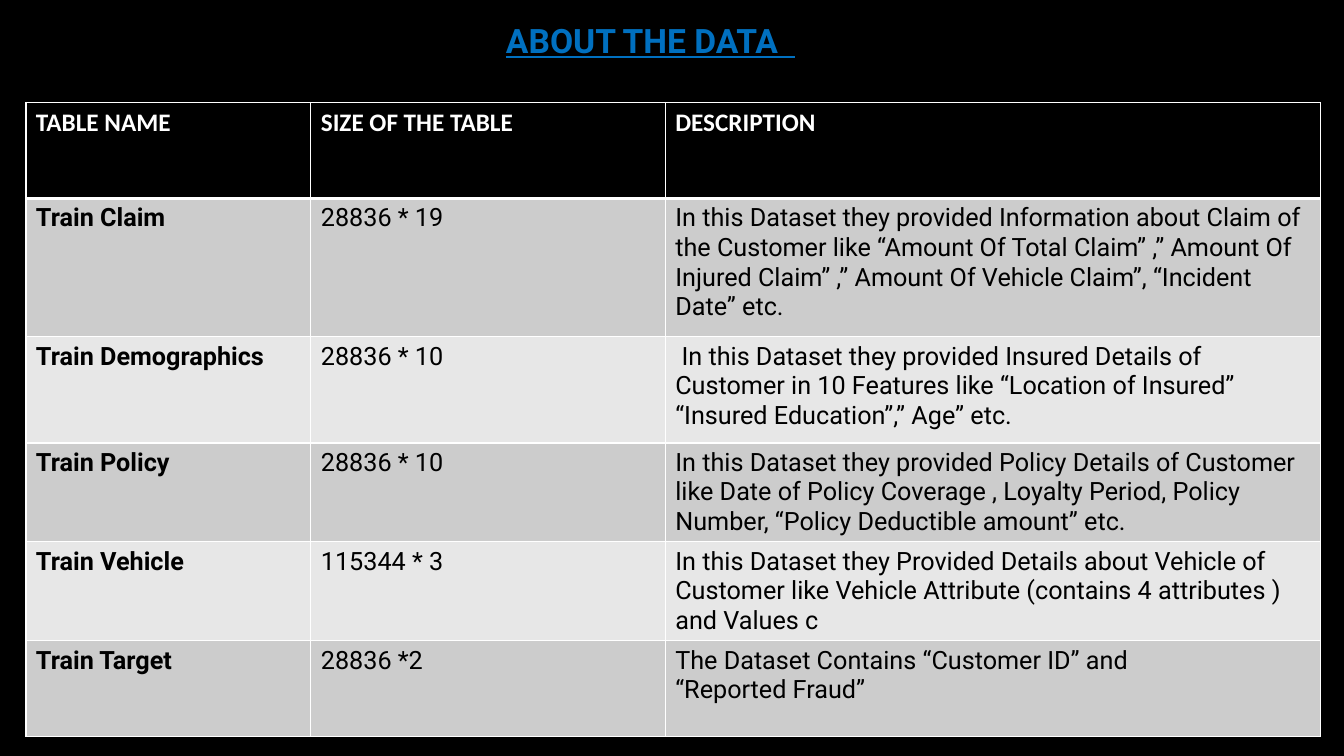
from lxml import etree
from pptx import Presentation
from pptx.dml.color import RGBColor
from pptx.enum import text
from pptx.oxml import ns
from pptx.util import Pt

BLACK = RGBColor(0x00, 0x00, 0x00)
WHITE = RGBColor(0xFF, 0xFF, 0xFF)
BLUE = RGBColor(0x00, 0x70, 0xC0)
DARK_BAND = RGBColor(0xCC, 0xCC, 0xCC)
LIGHT_BAND = RGBColor(0xE7, 0xE7, 0xE7)

COLUMN_WIDTHS = (203.5, 253.2, 467.8)
ROW_HEIGHTS = (68.6, 98.8, 75.9, 68.6, 68.6, 68.6)
ROWS = (
    ("TABLE NAME", "SIZE OF THE TABLE", "DESCRIPTION"),
    ("Train Claim", "28836 * 19",
     "In this Dataset they provided Information about Claim of the Customer like "
     "“Amount Of Total Claim” ,” Amount Of Injured Claim” ,” Amount Of Vehicle Claim”, "
     "“Incident Date” etc."),
    ("Train Demographics", "28836 * 10",
     " In this Dataset they provided Insured Details of Customer in 10 Features like "
     "“Location of Insured” “Insured Education”,” Age” etc."),
    ("Train Policy", "28836 * 10",
     "In this Dataset they provided Policy Details of Customer like Date of Policy "
     "Coverage , Loyalty Period, Policy Number, “Policy Deductible amount” etc."),
    ("Train Vehicle", "115344 * 3",
     "In this Dataset they Provided Details about Vehicle of Customer like Vehicle "
     "Attribute (contains 4 attributes ) and Values c"),
    ("Train Target", "28836 *2",
     "The Dataset Contains “Customer ID” and\n“Reported Fraud”"),
)


def style_font(font, name, size, colour, bold):
    """Set the typeface, size, colour and weight of a font."""
    font.name = name
    font.size = Pt(size)
    font.color.rgb = colour
    font.bold = bold


def set_borders(cell, bottom_width):
    """Draw white borders round a cell, with the given bottom width."""
    properties = cell._tc.get_or_add_tcPr()
    widths = {"L": 1, "R": 1, "T": 1, "B": bottom_width}
    for index, (side, width) in enumerate(widths.items()):
        line = etree.Element(ns.qn(f"a:ln{side}"), w=str(Pt(width)))
        fill = etree.SubElement(line, ns.qn("a:solidFill"))
        etree.SubElement(fill, ns.qn("a:srgbClr"), val=str(WHITE))
        properties.insert(index, line)


def add_title(page, left, top, width, height):
    """Place the underlined heading in the title placeholder."""
    title = page.shapes.title
    title.left, title.top, title.width, title.height = map(Pt, (left, top, width, height))
    frame = title.text_frame
    frame.text = "ABOUT THE DATA  "
    frame.word_wrap = True
    frame.auto_size = text.MSO_AUTO_SIZE.NONE
    frame.vertical_anchor = text.MSO_ANCHOR.TOP
    para = frame.paragraphs[0]
    para.alignment = text.PP_ALIGN.LEFT
    para.line_spacing = 1
    para.space_before = Pt(0)
    style_font(para.font, "Roboto", 24, BLUE, True)
    para.font.underline = True


def add_data_table(page, left, top):
    """Place the table of data sets with its top left corner at the given point."""
    frame = page.shapes.add_table(
        len(ROWS), len(COLUMN_WIDTHS), Pt(left), Pt(top),
        Pt(sum(COLUMN_WIDTHS)), Pt(sum(ROW_HEIGHTS)))
    table = frame.table
    for column, width in zip(table.columns, COLUMN_WIDTHS):
        column.width = Pt(width)
    for row, height in zip(table.rows, ROW_HEIGHTS):
        row.height = Pt(height)
    for row_index, entries in enumerate(ROWS):
        header = row_index == 0
        band = DARK_BAND if row_index % 2 else LIGHT_BAND
        for column_index, entry in enumerate(entries):
            cell = table.cell(row_index, column_index)
            cell.text = entry
            cell.fill.solid()
            cell.fill.fore_color.rgb = BLACK if header else band
            top_rule = header or row_index == 1
            set_borders(cell, 3 if header else 1)
            for para in cell.text_frame.paragraphs:
                style_font(para.font, "Calibri" if header else "Roboto", 18,
                           WHITE if header else BLACK, header or column_index == 0)


def build_data_slide(deck):
    """Add the slide that describes the data sets."""
    page = deck.slides.add_slide(deck.slide_layouts[5])
    page.background.fill.solid()
    page.background.fill.fore_color.rgb = BLACK
    add_data_table(page, 18.5, 73.2)
    add_title(page, 354.2, 10.8, 249.1, 65.5)


def main():
    """Build and save the deck."""
    deck = Presentation()
    deck.slide_width, deck.slide_height = Pt(960), Pt(540)
    build_data_slide(deck)
    deck.save("out.pptx")


if __name__ == "__main__":
    main()
